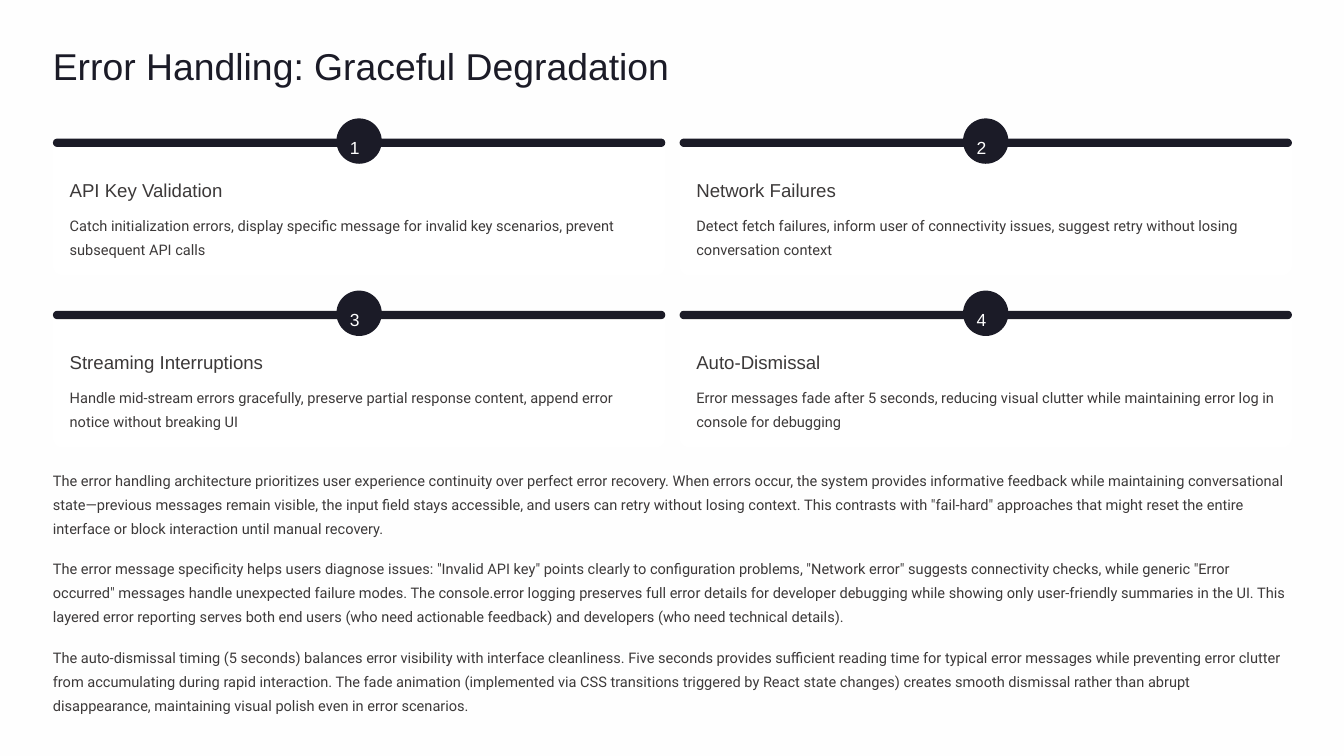
from pptx import Presentation
from pptx.dml.color import RGBColor
from pptx.enum.shapes import MSO_SHAPE
from pptx.util import Inches, Pt

INK = RGBColor(0x1B, 0x1B, 0x27)
BODY = RGBColor(0x3C, 0x39, 0x39)
WHITE = RGBColor(0xFF, 0xFF, 0xFF)
PAPER = RGBColor(0xFE, 0xFE, 0xFE)

# Grid in inches
MARGIN = 0.63
CARD_WIDTH, CARD_HEIGHT = 7.29, 1.61
COLUMN_STEP, ROW_STEP = 7.46, 2.05
CARDS_TOP = 1.67
NOTES_TOP, NOTE_STEP = 5.54, 1.055
PADDING = 0.2
BAR_HEIGHT, BADGE_SIZE = 0.1, 0.54

TITLE = "Error Handling: Graceful Degradation"
CARDS = [
    ("API Key Validation",
     "Catch initialization errors, display specific message for invalid key "
     "scenarios, prevent subsequent API calls"),
    ("Network Failures",
     "Detect fetch failures, inform user of connectivity issues, suggest retry "
     "without losing conversation context"),
    ("Streaming Interruptions",
     "Handle mid-stream errors gracefully, preserve partial response content, "
     "append error notice without breaking UI"),
    ("Auto-Dismissal",
     "Error messages fade after 5 seconds, reducing visual clutter while "
     "maintaining error log in console for debugging"),
]
NOTES = [
    "The error handling architecture prioritizes user experience continuity over "
    "perfect error recovery. When errors occur, the system provides informative "
    "feedback while maintaining conversational state—previous messages remain "
    "visible, the input field stays accessible, and users can retry without losing "
    'context. This contrasts with "fail-hard" approaches that might reset the '
    "entire interface or block interaction until manual recovery.",
    'The error message specificity helps users diagnose issues: "Invalid API key" '
    'points clearly to configuration problems, "Network error" suggests '
    'connectivity checks, while generic "Error occurred" messages handle '
    "unexpected failure modes. The console.error logging preserves full error "
    "details for developer debugging while showing only user-friendly summaries in "
    "the UI. This layered error reporting serves both end users (who need "
    "actionable feedback) and developers (who need technical details).",
    "The auto-dismissal timing (5 seconds) balances error visibility with interface "
    "cleanliness. Five seconds provides sufficient reading time for typical error "
    "messages while preventing error clutter from accumulating during rapid "
    "interaction. The fade animation (implemented via CSS transitions triggered by "
    "React state changes) creates smooth dismissal rather than abrupt "
    "disappearance, maintaining visual polish even in error scenarios.",
]


def add_text(slide, box, text, size, leading, color=BODY, font="Arial", wrap=False):
    shape = slide.shapes.add_textbox(*map(Inches, box))
    frame = shape.text_frame
    frame.margin_left = frame.margin_right = 0
    frame.margin_top = frame.margin_bottom = 0
    frame.word_wrap = wrap
    frame.text = text
    paragraph = frame.paragraphs[0]
    paragraph.line_spacing = Pt(leading)
    run_font = paragraph.runs[0].font
    run_font.name, run_font.size = font, Pt(size)
    run_font.color.rgb = color


def add_body(slide, box, text):
    add_text(slide, box, text, 12.5, 20.5, font="Roboto", wrap=True)


def add_rounded(slide, box, color, rounding=0.5):
    shape = slide.shapes.add_shape(MSO_SHAPE.ROUNDED_RECTANGLE, *map(Inches, box))
    shape.adjustments[0] = rounding
    shape.shadow.inherit = False
    shape.fill.solid()
    shape.fill.fore_color.rgb = color
    shape.line.fill.background()


def add_card(slide, box, number, heading, description):
    left, top, width, height = box
    badge_left = left + (width - BADGE_SIZE) / 2
    badge_top = top - 0.26
    text_left = left + PADDING
    # Panel, top bar and numbered badge
    add_rounded(slide, box, WHITE, 0.075)
    add_rounded(slide, (left, top - 0.02, width, BAR_HEIGHT), INK)
    add_rounded(slide, (badge_left, badge_top, BADGE_SIZE, BADGE_SIZE), INK)
    add_text(slide, (badge_left + 0.16, badge_top + 0.13, 0.21, 0.27),
             str(number), 15, 24.5, WHITE)
    # Heading and description
    add_text(slide, (text_left, top + 0.45, 2.6, 0.28), heading, 16, 20)
    add_body(slide, (text_left, top + 0.84, width - 2 * PADDING, 0.57), description)


def add_cards(slide, left, top):
    for index, (heading, description) in enumerate(CARDS):
        row, column = divmod(index, 2)
        box = (left + column * COLUMN_STEP, top + row * ROW_STEP,
               CARD_WIDTH, CARD_HEIGHT)
        add_card(slide, box, index + 1, heading, description)


def add_notes(slide, left, top, width):
    for index, note in enumerate(NOTES):
        add_body(slide, (left, top + index * NOTE_STEP, width, 0.86), note)


def main():
    presentation = Presentation()
    presentation.slide_width, presentation.slide_height = Inches(16), Inches(9)
    slide = presentation.slides.add_slide(presentation.slide_layouts[6])
    slide.background.fill.solid()
    slide.background.fill.fore_color.rgb = PAPER

    add_text(slide, (MARGIN, 0.49, 7.93, 0.56), TITLE, 32, 40, INK)
    add_cards(slide, MARGIN, CARDS_TOP)
    add_notes(slide, MARGIN, NOTES_TOP, COLUMN_STEP + CARD_WIDTH)
    presentation.save("out.pptx")


if __name__ == "__main__":
    main()
